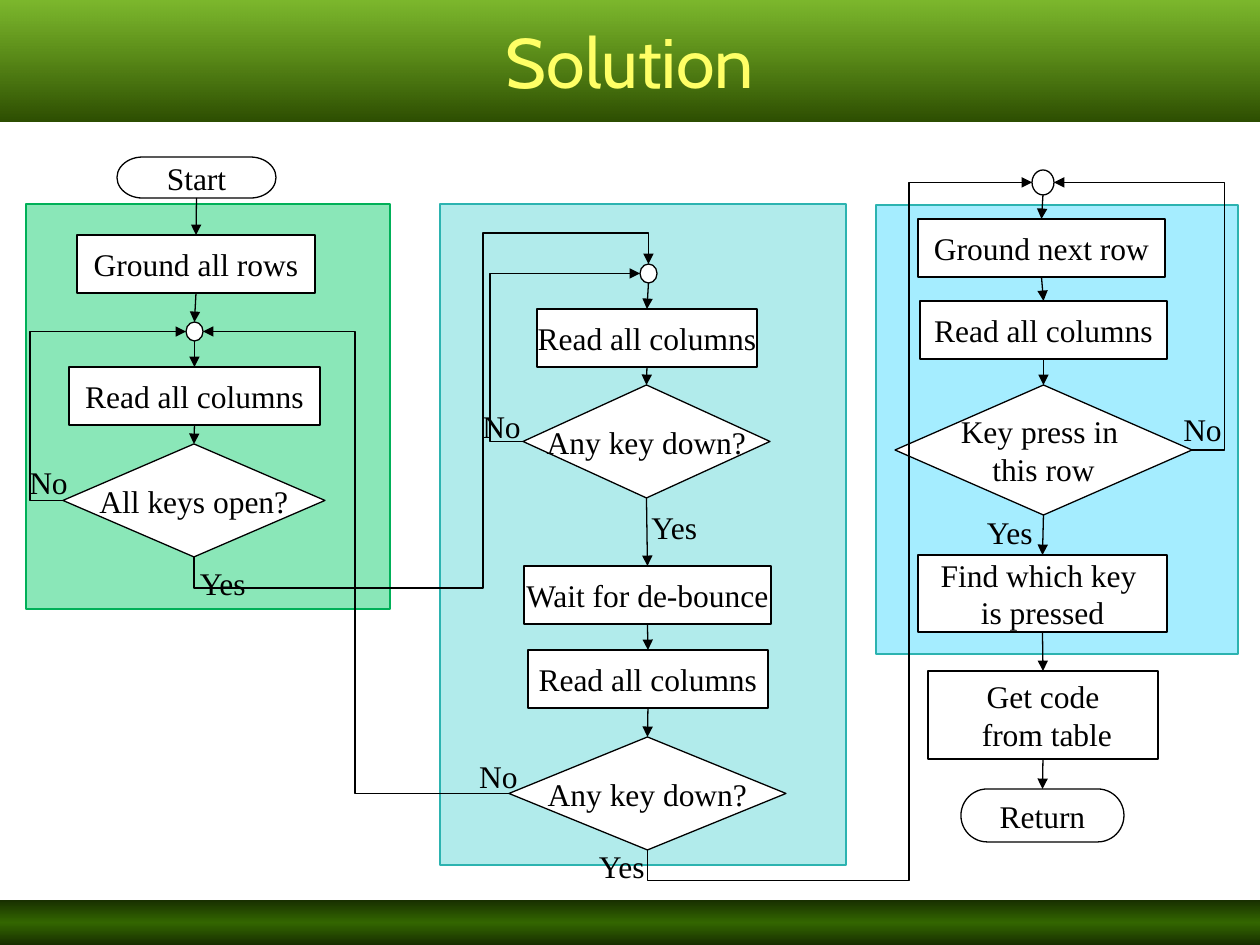
from itertools import cycle

from pptx import Presentation
from pptx.dml.color import RGBColor
from pptx.enum.dml import MSO_FILL
from pptx.enum.shapes import MSO_CONNECTOR, MSO_SHAPE
from pptx.enum.text import MSO_ANCHOR, MSO_AUTO_SIZE, PP_ALIGN
from pptx.oxml.ns import qn
from pptx.util import Pt
from lxml import etree

PROCESS = MSO_SHAPE.FLOWCHART_PROCESS
DECISION = MSO_SHAPE.FLOWCHART_DECISION
TERMINATOR = MSO_SHAPE.FLOWCHART_TERMINATOR
JUNCTION = MSO_SHAPE.FLOWCHART_CONNECTOR
RECTANGLE = MSO_SHAPE.RECTANGLE
STRAIGHT, ELBOW = MSO_CONNECTOR.STRAIGHT, MSO_CONNECTOR.ELBOW
LEFT_ALIGN, CENTER, RIGHT_ALIGN = PP_ALIGN.LEFT, PP_ALIGN.CENTER, PP_ALIGN.RIGHT
MIDDLE, NO_AUTOSIZE = MSO_ANCHOR.MIDDLE, MSO_AUTO_SIZE.NONE
GRADIENT = MSO_FILL.GRADIENT
TOP, LEFT, BOTTOM, RIGHT = range(4)
TITLE_ONLY = 5
LABEL_HEIGHT = 50


class Theme:
    title_font, title_size, title_color = "Cabin", 40, "FFFF66"
    font, size, ink, paper = "Times New Roman", 18, "000000", "FFFFFF"
    line_width = 0.75
    header = [(0, "62A903", 83), (100, "2D4E01", 100)]
    footer = [(0, "182F00", 100), (50, "336600", 100), (100, "182F00", 100)]
    green = ("00CC66", 46, "00B058")
    teal = ("33CCCC", 38, "2CB3B0")
    blue = ("13D2FF", 38, "2CB3B0")


# Columns of steps: name, preset, box in px, text
COLUMNS = [
    [("start", TERMINATOR, (117, 157, 159, 41), "Start"),
     ("ground all", PROCESS, (77, 235, 238, 58), "Ground all rows"),
     ("open loop", JUNCTION, (186, 322, 17, 19), ""),
     ("read open", PROCESS, (69, 367, 251, 58), "Read all columns"),
     ("all open", DECISION, (63, 444, 262, 113), "All keys open?")],
    [("down loop", JUNCTION, (640, 264, 17, 19), ""),
     ("read down", PROCESS, (537, 309, 220, 58), "Read all columns"),
     ("any down", DECISION, (523, 385, 247, 113), "Any key down?"),
     ("wait", PROCESS, (524, 566, 247, 58), "Wait for de-bounce"),
     ("read again", PROCESS, (528, 650, 240, 58), "Read all columns"),
     ("still down", DECISION, (509, 737, 277, 113), "Any key down?")],
    [("row loop", JUNCTION, (1032, 170, 22, 25), ""),
     ("ground next", PROCESS, (918, 219, 247, 58), "Ground next row"),
     ("read row", PROCESS, (920, 301, 247, 58), "Read all columns"),
     ("in row", DECISION, (895, 385, 297, 130), "Key press in \nthis row"),
     ("find", PROCESS, (918, 555, 249, 77), "Find which key \nis pressed"),
     ("get code", PROCESS, (928, 671, 230, 88), "Get code\n from table"),
     ("return", TERMINATOR, (961, 789, 163, 53), "Return")],
]

# Bent branches: from, side, to, side, positions of the inner segments in px
BRANCHES = [
    ("any down", LEFT, "down loop", LEFT, [490]),
    ("all open", LEFT, "open loop", LEFT, [30]),
    ("still down", LEFT, "open loop", RIGHT, [355]),
    ("in row", RIGHT, "row loop", RIGHT, [1225]),
    ("all open", BOTTOM, "down loop", TOP, [588, 483, 233]),
    ("still down", BOTTOM, "row loop", LEFT, [881, 909]),
]

# Branch labels: text, left, top, width, alignment
LABELS = [
    ("No", 453, 401, 97, CENTER), ("Yes", 115, 558, 143, RIGHT_ALIGN),
    ("No", 456, 751, 85, CENTER), ("No", 1160, 404, 85, CENTER),
    ("No", 0, 457, 97, CENTER), ("Yes", 902, 507, 143, RIGHT_ALIGN),
    ("Yes", 639, 502, 92, LEFT_ALIGN), ("Yes", 514, 841, 143, RIGHT_ALIGN),
]

PANELS = [
    ((876, 205, 362, 449), Theme.blue),
    ((440, 204, 406, 661), Theme.teal),
    ((26, 204, 364, 405), Theme.green),
]


def px(value):
    return round(value * 914400 / 126)


def rgb(value):
    return RGBColor.from_string(value)


def set_alpha(color, percent):
    etree.SubElement(color, qn("a:alpha")).set("val", str(percent * 1000))


def set_gradient(sp, stops):
    sp.fill.gradient()
    sp.fill.gradient_angle = 270
    stop_list = sp._element.spPr.find(".//" + qn("a:gsLst"))
    stop_list[:] = []
    for position, value, alpha in stops:
        stop = etree.SubElement(stop_list, qn("a:gs"), pos=str(position * 1000))
        set_alpha(etree.SubElement(stop, qn("a:srgbClr"), val=value), alpha)


def set_text(sp, text, align, font=Theme.font, size=Theme.size, color=Theme.ink):
    tf = sp.text_frame
    tf.text = text
    for p in tf.paragraphs:
        p.alignment = align
        for r in p.runs:
            r.font.name, r.font.size = font, Pt(size)
            r.font.color.rgb = rgb(color)


def set_line(line, color=Theme.ink):
    line.color.rgb = rgb(color)
    line.width = Pt(Theme.line_width)


def add_box(slide, preset, box, fill=None):
    sp = slide.shapes.add_shape(preset, *map(px, box))
    sp.shadow.inherit = False
    if fill:
        sp.fill.solid()
        sp.fill.fore_color.rgb = rgb(fill)
    return sp


def add_title(slide, text):
    title = slide.shapes.title
    title.left, title.top, title.width, title.height = map(px, (0, 0, 1260, 122))
    set_gradient(title, Theme.header)
    title.text_frame.vertical_anchor = MIDDLE
    title.text_frame.auto_size = NO_AUTOSIZE
    set_text(title, text, CENTER, Theme.title_font, Theme.title_size, Theme.title_color)


def add_footer(slide):
    footer = add_box(slide, RECTANGLE, (0, 900, 1260, 45))
    set_gradient(footer, Theme.footer)
    footer.line.fill.background()


def add_panel(slide, box, colors):
    fill, alpha, edge = colors
    sp = add_box(slide, RECTANGLE, box, fill)
    set_alpha(sp._element.spPr.find(".//" + qn("a:srgbClr")), alpha)
    set_line(sp.line, edge)


def add_step(slide, preset, box, text):
    sp = add_box(slide, preset, box, Theme.paper)
    set_line(sp.line)
    if text:
        sp.text_frame.word_wrap = False
        sp.text_frame.vertical_anchor = MIDDLE
        set_text(sp, text, CENTER)
    return sp


def add_label(slide, text, left, top, width, align):
    sp = slide.shapes.add_textbox(*map(px, (left, top, width, LABEL_HEIGHT)))
    sp.text_frame.word_wrap = True
    set_text(sp, text, align)


def add_arrow(slide, kind, source, source_side, target, target_side):
    arrow = slide.shapes.add_connector(kind, 0, 0, 0, 0)
    arrow.begin_connect(source, source_side)
    arrow.end_connect(target, target_side)
    # A junction has eight connection sites, so its sides are every second one
    for sp, tag in ((source, "a:stCxn"), (target, "a:endCxn")):
        if sp.auto_shape_type == JUNCTION:
            site = arrow._element.find(".//" + qn(tag))
            site.set("idx", str(int(site.get("idx")) * 2))
    set_line(arrow.line)
    etree.SubElement(arrow.line._get_or_add_ln(), qn("a:tailEnd"), type="triangle")
    etree.SubElement(arrow._element.spPr, qn("a:effectLst"))
    return arrow


def add_branch(slide, source, source_side, target, target_side, bends):
    arrow = add_arrow(slide, ELBOW, source, source_side, target, target_side)
    across = (arrow.begin_x, arrow.end_x)
    down = (arrow.begin_y, arrow.end_y)
    vertical = source_side in (TOP, BOTTOM)
    axes = cycle((down, across) if vertical else (across, down))

    # Each bend is a share of the way along its own axis
    geometry = arrow._element.spPr.find(qn("a:prstGeom"))
    geometry.set("prst", f"bentConnector{len(bends) + 2}")
    guides = geometry.find(qn("a:avLst"))
    for number, (bend, (begin, end)) in enumerate(zip(bends, axes), 1):
        share = round((px(bend) - begin) / (end - begin) * 100000)
        name = f"adj{number}" if len(bends) > 1 else "adj1"
        etree.SubElement(guides, qn("a:gd"), name=name, fmla=f"val {share}")

    # A branch that leaves downwards and ends up to the right is a turned one
    if vertical:
        width, height = abs(down[1] - down[0]), abs(across[1] - across[0])
        arrow.left = (sum(across) - width) // 2
        arrow.top = (sum(down) - height) // 2
        arrow.width, arrow.height = width, height
        xfrm = arrow._element.spPr.find(qn("a:xfrm"))
        for key, value in (("rot", "5400000"), ("flipH", "1"), ("flipV", "1")):
            xfrm.set(key, value)


def main():
    prs = Presentation()
    prs.slide_width, prs.slide_height = px(1260), px(945)
    slide = prs.slides.add_slide(prs.slide_layouts[TITLE_ONLY])

    # Background bands and panels
    add_title(slide, "Solution")
    add_footer(slide)
    for box, colors in PANELS:
        add_panel(slide, box, colors)

    # Steps, joined downwards within each column
    steps = {}
    for column in COLUMNS:
        chain = [add_step(slide, *step[1:]) for step in column]
        steps.update(zip((step[0] for step in column), chain))
        for upper, lower in zip(chain, chain[1:]):
            add_arrow(slide, STRAIGHT, upper, BOTTOM, lower, TOP)

    # Branches and their labels
    for source, source_side, target, target_side, bends in BRANCHES:
        add_branch(slide, steps[source], source_side, steps[target], target_side, bends)
    for label in LABELS:
        add_label(slide, *label)

    prs.save("out.pptx")


if __name__ == "__main__":
    main()
